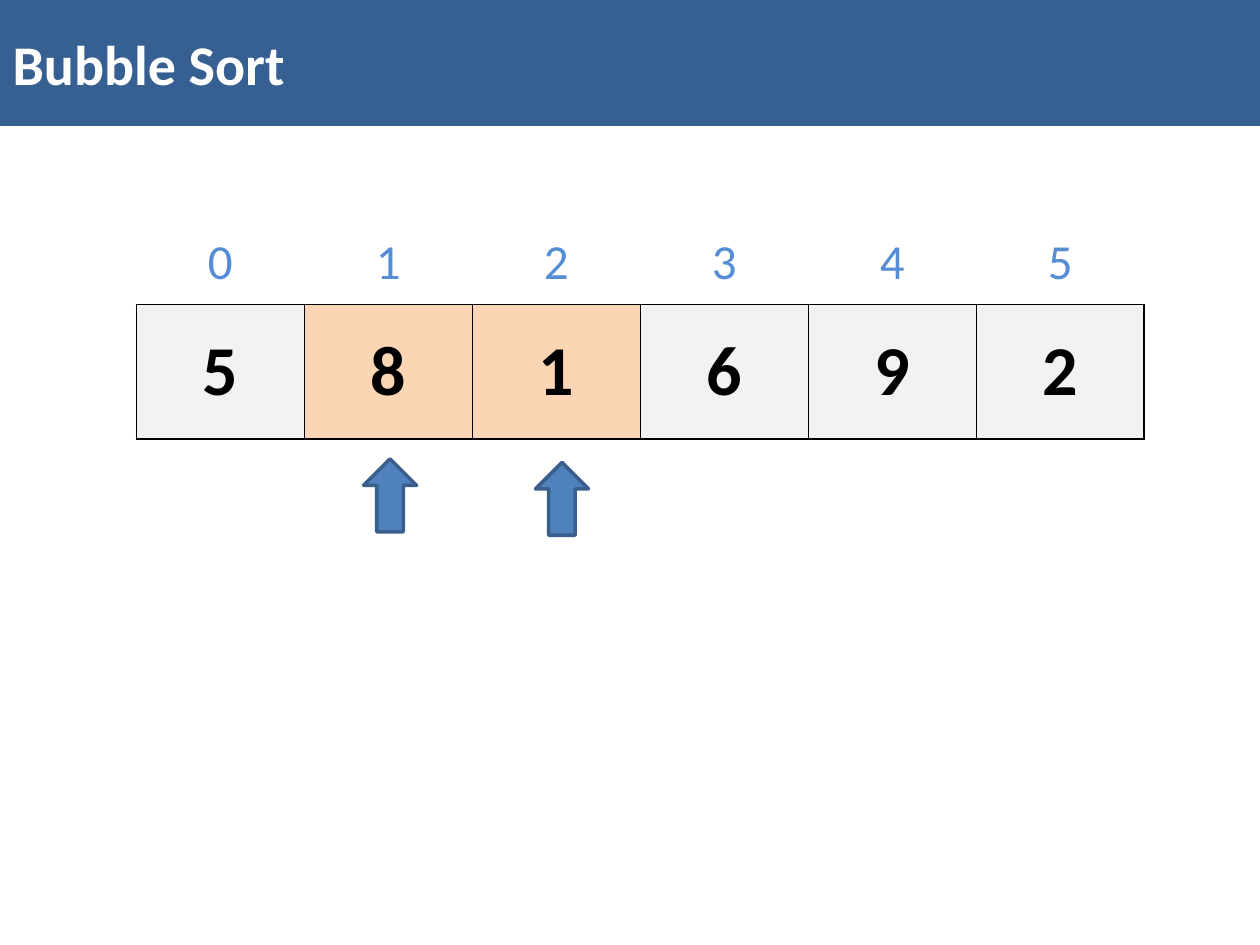
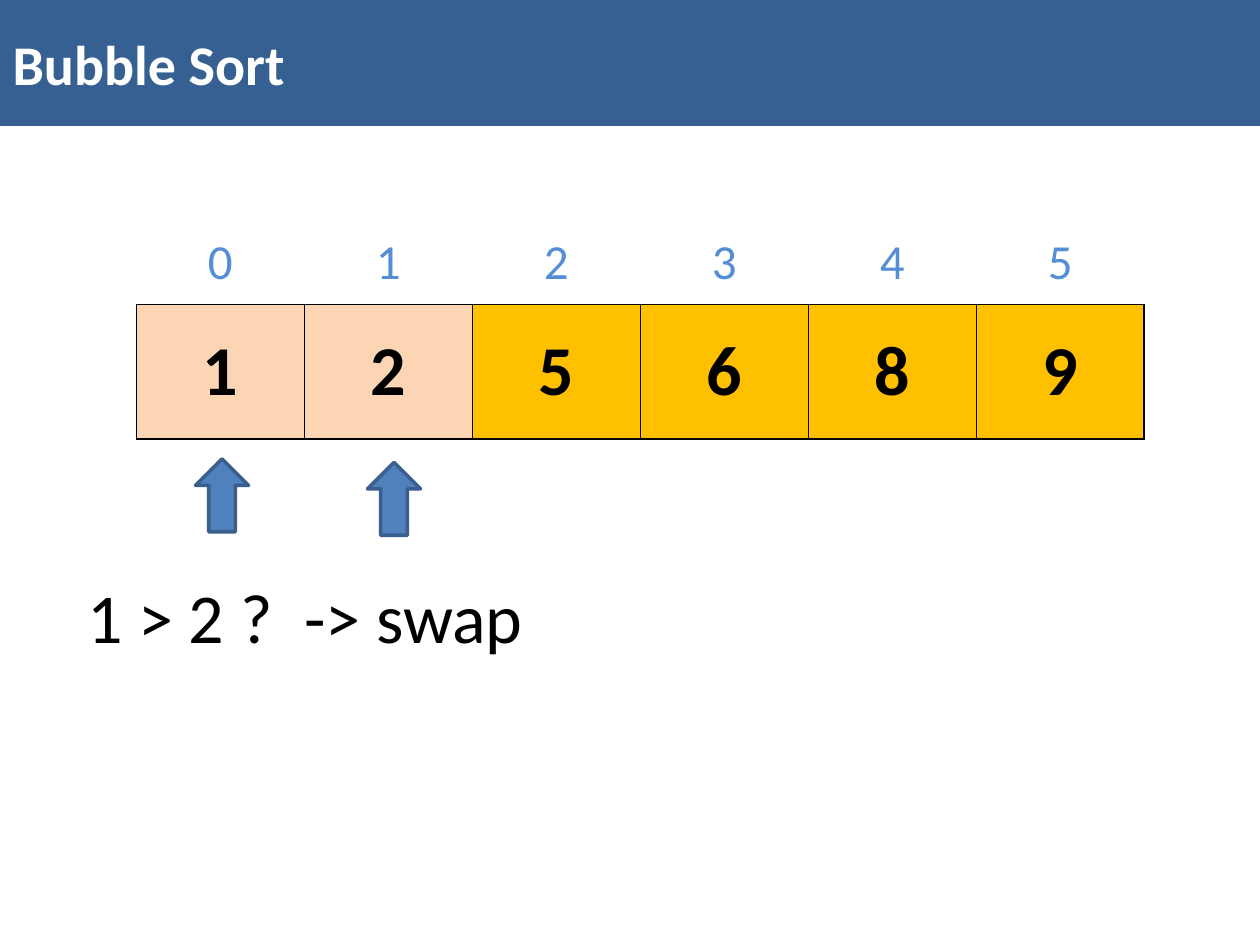
from dataclasses import dataclass

from lxml.etree import SubElement
from pptx import Presentation
from pptx.dml.color import RGBColor as RGB
from pptx.enum.shapes import MSO_SHAPE as Preset
from pptx.enum.text import MSO_ANCHOR as Anchor, MSO_AUTO_SIZE as AutoSize, PP_ALIGN as Align
from pptx.oxml.ns import qn
from pptx.util import Cm, Pt


@dataclass(frozen=True)
class Theme:
    """Colours, type sizes and font shared by the slides."""
    font: str = "Calibri"
    band: str = "376092"
    band_text: str = "FFFFFF"
    ink: str = "000000"
    index: str = "558ED5"
    waiting: str = "F2F2F2"
    compared: str = "FCD5B5"
    ordered: str = "FFC000"
    pointer: str = "4F81BD"
    pointer_edge: str = "3A5F8C"
    title_size: int = 32
    index_size: int = 28
    value_size: int = 40


THEME = Theme()
SLIDE_WIDTH, SLIDE_HEIGHT = 25.4, 19.05
ARRAY_LEFT, ARRAY_WIDTH = 2.75, 20.32
INDEX_TOP, INDEX_HEIGHT = 4.45, 1.69
VALUE_TOP, VALUE_HEIGHT = 6.14, 2.71
POINTER_WIDTH, POINTER_HEIGHT = 1.07, 1.47
POINTER_OFFSETS = ((1.19, 9.25), (1.27, 9.32))


def write(frame, text, size, color, bold=False, align=Align.CENTER):
    """Put one styled line of text into a text frame."""
    frame.text = text
    line = frame.paragraphs[0]
    line.alignment = align
    font = line.runs[0].font
    font.name, font.size, font.bold = THEME.font, Pt(size), bold
    font.color.rgb = RGB.from_string(color)


def paint(fill, color):
    """Give a fill one solid colour."""
    fill.solid()
    fill.fore_color.rgb = RGB.from_string(color)


def set_borders(cell, color):
    """Draw all four cell borders, or hide them when there is no colour."""
    properties = cell._tc.get_or_add_tcPr()
    for side in ("a:lnL", "a:lnR", "a:lnT", "a:lnB"):
        border = SubElement(properties, qn(side), w=str(Pt(1)))
        if color:
            solid = SubElement(border, qn("a:solidFill"))
            SubElement(solid, qn("a:srgbClr"), val=color)
        else:
            SubElement(border, qn("a:noFill"))


def add_title(slide, text):
    """Turn the title placeholder into the coloured band."""
    title = slide.shapes.title
    title.left, title.top = Cm(0), Cm(0)
    title.width, title.height = Cm(SLIDE_WIDTH), Cm(2.54)
    paint(title.fill, THEME.band)
    frame = title.text_frame
    frame.auto_size = AutoSize.NONE
    frame.vertical_anchor = Anchor.MIDDLE
    write(frame, text, THEME.title_size, THEME.band_text, True, Align.LEFT)


def add_row(slide, entries, top, height, size, color, bold=False, fills=None, border=None):
    """Add a one-row table with equal columns."""
    table = slide.shapes.add_table(
        1, len(entries), Cm(ARRAY_LEFT), Cm(top), Cm(ARRAY_WIDTH), Cm(height)).table
    table.first_row = table.horz_banding = False
    for position, entry in enumerate(entries):
        cell = table.cell(0, position)
        set_borders(cell, border)
        if fills:
            paint(cell.fill, fills[position])
        else:
            cell.fill.background()
        cell.vertical_anchor = Anchor.MIDDLE
        write(cell.text_frame, str(entry), size, color, bold)


def add_array(slide, values, first, rest):
    """Add the values with their indices, marking the compared pair."""
    pair = (first, first + 1)
    fills = [THEME.compared if i in pair else rest for i in range(len(values))]
    add_row(slide, values, VALUE_TOP, VALUE_HEIGHT, THEME.value_size, THEME.ink,
            True, fills, THEME.ink)
    add_row(slide, range(len(values)), INDEX_TOP, INDEX_HEIGHT,
            THEME.index_size, THEME.index)


def add_pointers(slide, first, count):
    """Point an arrow at each of the two compared cells."""
    for step, (inset, top) in enumerate(POINTER_OFFSETS):
        left = ARRAY_LEFT + (first + step) * ARRAY_WIDTH / count + inset
        pointer = slide.shapes.add_shape(
            Preset.DOWN_ARROW, Cm(left), Cm(top), Cm(POINTER_WIDTH), Cm(POINTER_HEIGHT))
        pointer.rotation = 180
        pointer.shadow.inherit = False
        paint(pointer.fill, THEME.pointer)
        paint(pointer.line.fill, THEME.pointer_edge)
        pointer.line.width = Pt(2)


def add_question(slide, text):
    """Add the comparison question below the array."""
    frame = slide.shapes.add_textbox(Cm(1.07), Cm(11.43), Cm(10.16), Cm(1.96)).text_frame
    frame.word_wrap = True
    frame.auto_size = AutoSize.SHAPE_TO_FIT_TEXT
    write(frame, text, THEME.value_size, THEME.ink)


def add_step(deck, values, first, rest):
    """Add a slide showing one comparison of the sort."""
    slide = deck.slides.add_slide(deck.slide_layouts[5])
    add_title(slide, "Bubble Sort")
    add_array(slide, values, first, rest)
    add_pointers(slide, first, len(values))
    return slide


def main():
    """Build and save the slides."""
    deck = Presentation()
    deck.slide_width, deck.slide_height = Cm(SLIDE_WIDTH), Cm(SLIDE_HEIGHT)
    add_step(deck, (5, 8, 1, 6, 9, 2), 1, THEME.waiting)
    last_step = add_step(deck, (1, 2, 5, 6, 8, 9), 0, THEME.ordered)
    add_question(last_step, "1 > 2 ?  -> swap")
    deck.save("out.pptx")


main()
